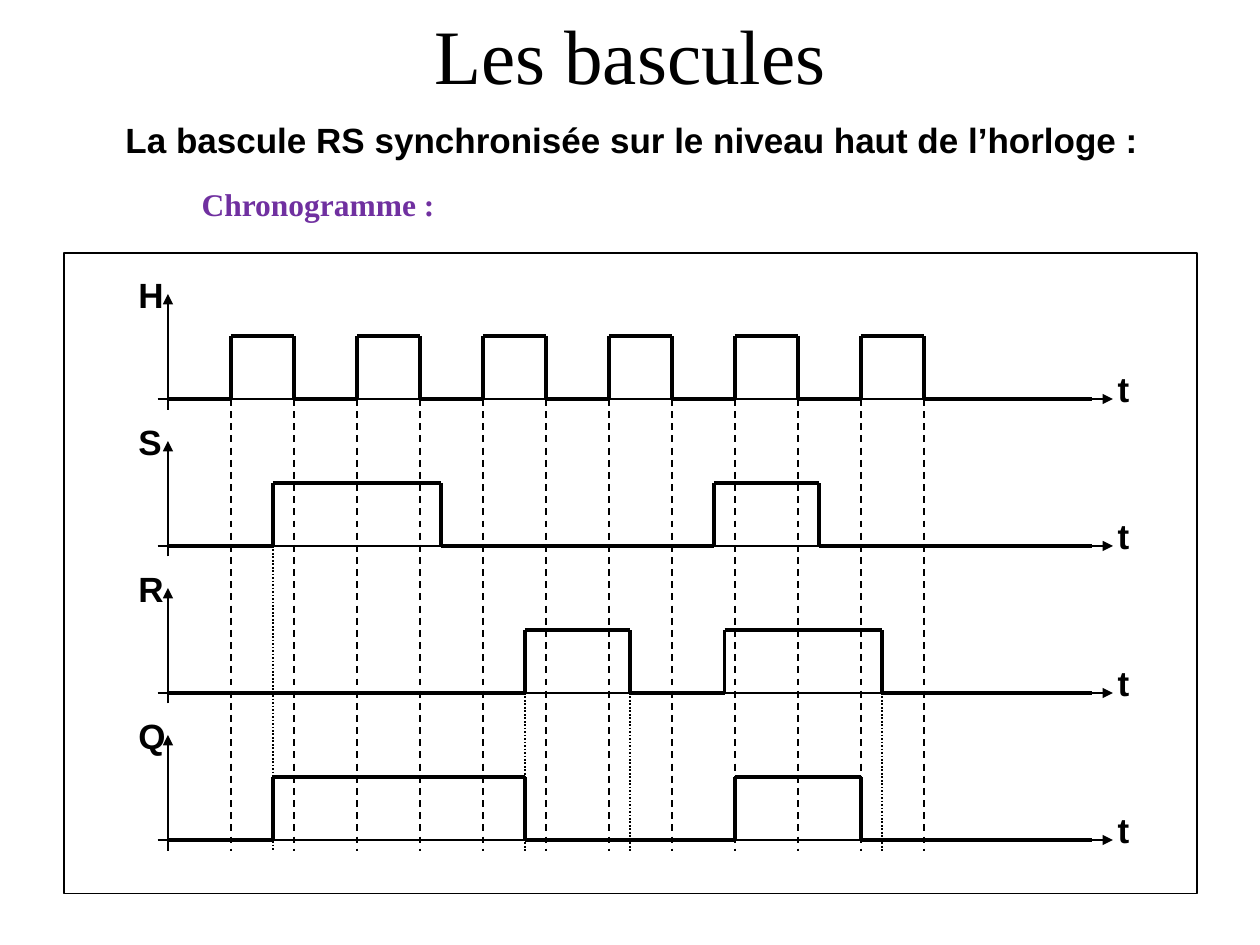
from lxml import etree
from pptx import Presentation
from pptx.dml.color import RGBColor
from pptx.enum.dml import MSO_LINE_DASH_STYLE as Dash
from pptx.enum.shapes import MSO_CONNECTOR as Conn, MSO_SHAPE as Shape
from pptx.enum.text import MSO_ANCHOR as Anchor, PP_ALIGN as Align
from pptx.oxml.ns import qn
from pptx.util import Inches, Pt

BLACK = RGBColor(0x00, 0x00, 0x00)
PURPLE = RGBColor(0x70, 0x30, 0xA0)

# Grid: 12 columns and rows to the inch
UNIT = 12
ORIGIN, WAVE_END = 16, 104    # columns of t = 0 and of the end of the signals
FIRST_ROW, ROW_STEP = 38, 14  # time axis of H, then distance to the next axis
HIGH = 6                      # height of the high level
GUIDE_END = 81                # row where the guides stop

# Columns where each signal rises and falls in turn
CLOCK_EDGES = list(range(22, 89, 6))
SIGNALS = {
    "H": CLOCK_EDGES,
    "S": [26, 42, 68, 78],
    "R": [50, 60, 69, 84],
    "Q": [26, 50, 70, 82],
}
# Edges of S and R carried down to Q
DOTTED_GUIDES = {"S": [26], "R": [50, 60, 84]}


def grid(n):
    return Inches(n / UNIT)


def axis_row(name):
    return FIRST_ROW + ROW_STEP * list(SIGNALS).index(name)


def add_line(s, x1, y1, x2, y2, width=1, dash=None, arrow=False):
    line = s.shapes.add_connector(Conn.STRAIGHT, *map(grid, (x1, y1, x2, y2)))
    line.line.color.rgb = BLACK
    line.line.width = Pt(width)
    if dash:
        line.line.dash_style = dash
    if arrow:
        ln = line.line._get_or_add_ln()
        etree.SubElement(ln, qn("a:tailEnd"), type="triangle")
    etree.SubElement(line._element.spPr, qn("a:effectLst"))


def add_text(s, text, x, y, w, h, size=20, font="Arial", bold=True,
             color=BLACK, align=Align.CENTER, anchor=Anchor.MIDDLE,
             wrap=True, indent=0):
    tf = s.shapes.add_textbox(*map(grid, (x, y, w, h))).text_frame
    tf.word_wrap = wrap
    tf.vertical_anchor = anchor
    tf.margin_left = Inches(0.1 + indent)
    p = tf.paragraphs[0]
    p.alignment = align
    r = p.add_run()
    r.text = text
    r.font.name, r.font.size, r.font.bold = font, Pt(size), bold
    r.font.color.rgb = color


def add_frame(s, x, y, w, h):
    sp = s.shapes.add_shape(Shape.RECTANGLE, *map(grid, (x, y, w, h)))
    sp.shadow.inherit = False
    sp.fill.background()
    sp.line.color.rgb = BLACK
    sp.line.width = Pt(1)


def add_axes(s, name):
    row = axis_row(name)
    add_line(s, ORIGIN, row + 1, ORIGIN, row - 10, arrow=True)
    add_line(s, ORIGIN - 1, row, 106, row, arrow=True)
    add_text(s, "t", 105, row - 3, 4, 4, wrap=False)
    add_text(s, name, 12, row - 12, 4, 4, wrap=False)


def add_wave(s, name, edges):
    low = axis_row(name)
    high = low - HIGH
    stops = [ORIGIN, *edges, WAVE_END]
    for i, (start, end) in enumerate(zip(stops, stops[1:])):
        level = high if i % 2 else low
        add_line(s, start, level, end, level, width=2.25)
        if end != WAVE_END:
            add_line(s, end, low, end, high, width=2.25)


def add_guides(s, name, columns, dash):
    for col in columns:
        add_line(s, col, axis_row(name), col, GUIDE_END, dash=dash)


def main():
    prs = Presentation()
    prs.slide_width, prs.slide_height = Inches(10), Inches(7.5)
    s = prs.slides.add_slide(prs.slide_layouts[6])

    # Headings
    add_text(s, "Les bascules", 6, 0, 108, 10.3, size=44,
             font="Times New Roman", bold=False)
    add_text(s, "La bascule RS synchronisée sur le niveau haut de l’horloge :",
             3.7, 10.7, 107, 5.25, anchor=Anchor.TOP, indent=0.5)
    add_text(s, "Chronogramme :", 6, 17, 108, 7, size=18,
             font="Times New Roman", color=PURPLE, align=Align.LEFT,
             anchor=Anchor.TOP, indent=1)

    # Timing diagram
    add_frame(s, 6.1, 24.1, 107.9, 61)
    add_guides(s, "H", CLOCK_EDGES, Dash.DASH)
    for name, columns in DOTTED_GUIDES.items():
        add_guides(s, name, columns, Dash.ROUND_DOT)
    for name, edges in SIGNALS.items():
        add_axes(s, name)
        add_wave(s, name, edges)

    prs.save("out.pptx")


if __name__ == "__main__":
    main()
